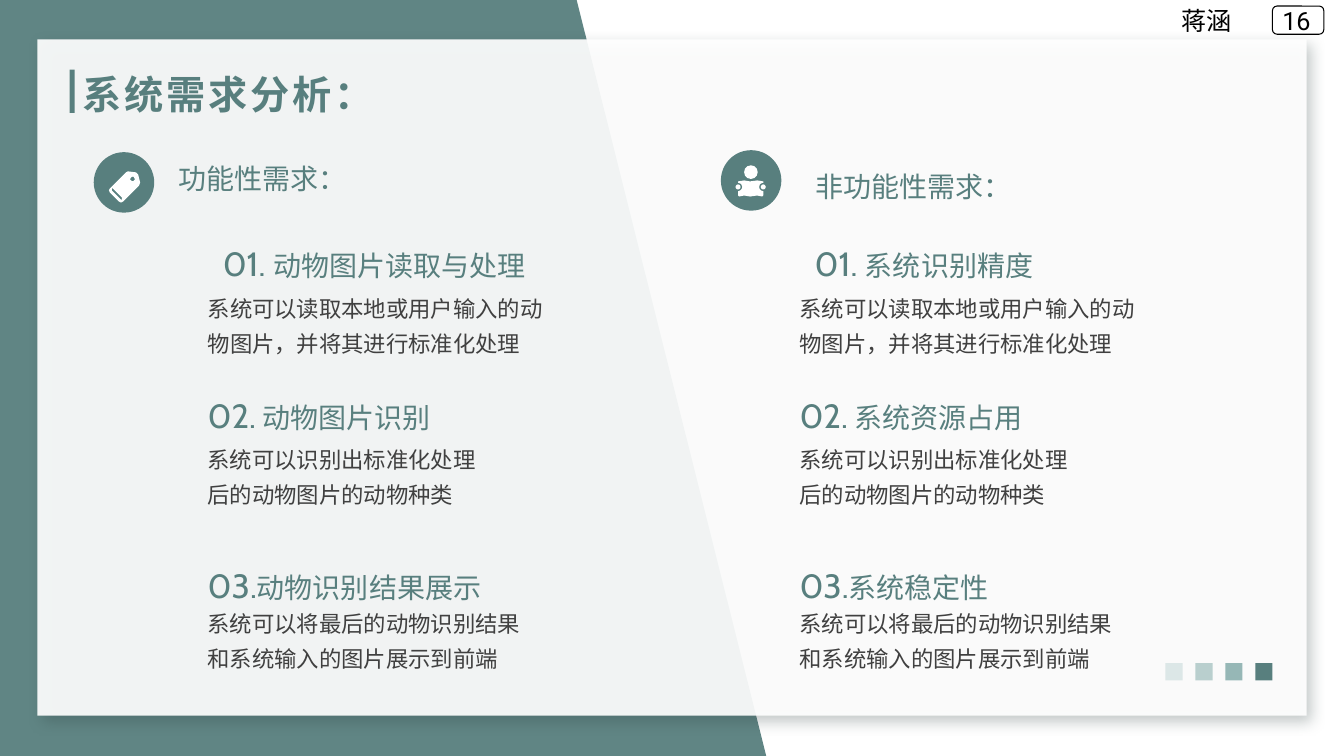
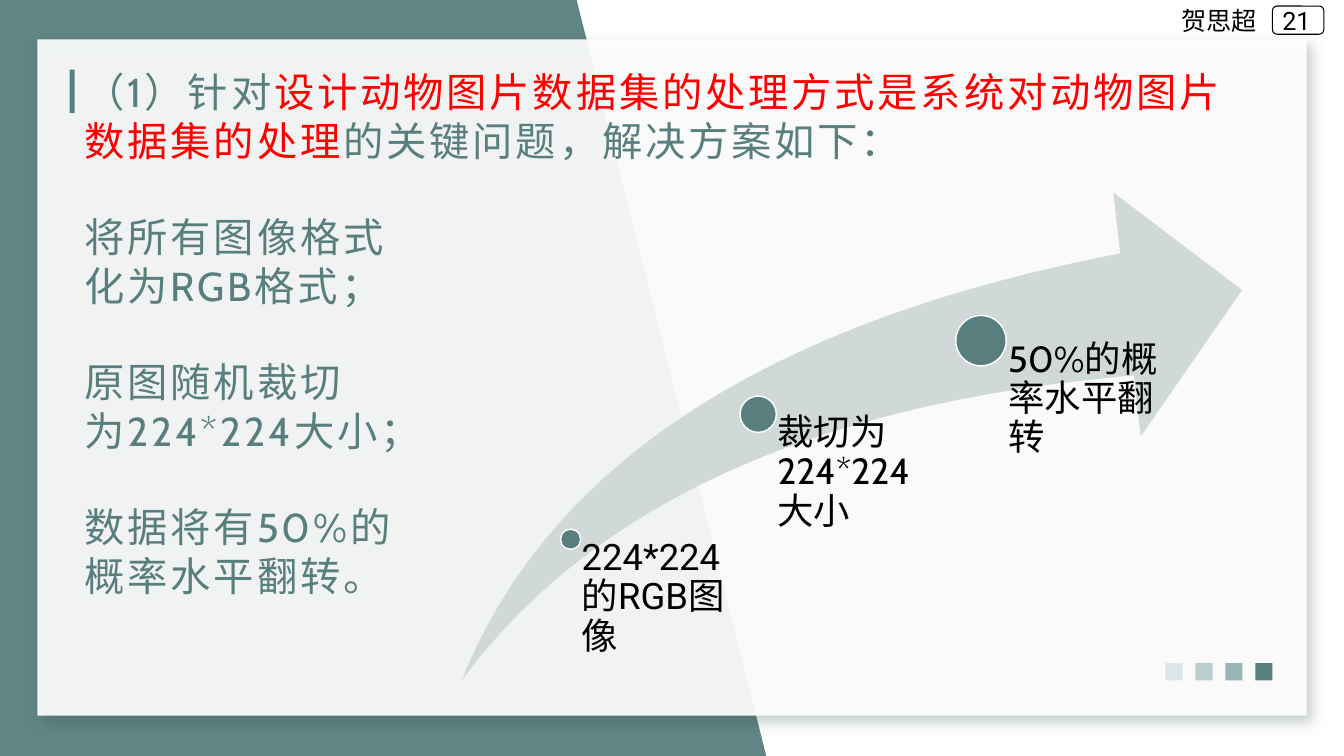
from pptx import Presentation
from pptx.dml.color import RGBColor
from pptx.enum.lang import MSO_LANGUAGE_ID
from pptx.enum.shapes import MSO_SHAPE
from pptx.oxml import parse_xml
from pptx.oxml.ns import nsdecls, qn
from pptx.util import Inches, Pt

# Shared look
TEAL, WHITE, BLACK, GREY, RED = "587F7E", "FFFFFF", "000000", "404040", "FF0000"
ARROW_GREY = "D1D8D8"
SQUARES = ["DCE7E7", "B9CFCE", "96B7B6", TEAL]
WIDTH, HEIGHT = 13.33, 7.5
ORIGIN = (0, 0, 0, 0)

# Content: requirements slide
DETAILS = [
    "系统可以读取本地或用户输入的动物图片，并将其进行标准化处理",
    "系统可以识别出标准化处理后的动物图片的动物种类",
    "系统可以将最后的动物识别结果和系统输入的图片展示到前端",
]
COLUMNS = [
    dict(left=2.06, title="功能性需求：", title_at=(1.77, 1.6), badge_at=(0.93, 1.51),
         items=["动物图片读取与处理", " 动物图片识别", "动物识别结果展示"]),
    dict(left=7.93, title="非功能性需求：", title_at=(8.09, 1.68), badge_at=(7.15, 1.49),
         items=["系统识别精度", " 系统资源占用", "系统稳定性"]),
]
# Per row: number, indent, heading top, detail top, detail width
ROWS = [("01. ", 0.15, 2.41, 2.85, 3.41),
        ("02.", 0, 3.92, 4.35, 2.83),
        ("03.", 0, 5.6, 5.97, 3.27)]

# Content: data processing slide
PROBLEM = [("（1）针对", TEAL),
           ("设计动物图片数据集的处理方式是系统对动物图片数据集的处理", RED),
           ("的关键问题，解决方案如下：", TEAL)]
SOLUTIONS = [("将所有图像格式", "化为RGB格式；"),
             ("原图随机裁切", "为224*224大小；"),
             ("数据将有50%的", "概率水平翻转。")]
# Per step: text, font, dot left, top and size, label inset and width
STEPS = [("224*224的RGB图像", "Roboto", 5.56, 5.25, 0.2, 0.11, 1.8),
         ("裁切为224*224大小", "Cabin", 7.34, 3.93, 0.36, 0.19, 1.86),
         ("50%的概率水平翻转", "Cabin", 9.48, 3.13, 0.5, 0.27, 1.86)]

# Icon outlines, in hundredths of an inch
TAG = [
    [(139, 181), (137, 173), (135, 171), (127, 170), (125, 171), (109, 187), (108, 189),
     (109, 191), (118, 200), (120, 201), (122, 200), (138, 184)],
    [(121, 198), (120, 198), (111, 189), (111, 187), (112, 187), (121, 196)],
    [(133, 179), (131.5, 179.6), (130, 179), (129.4, 177.5), (130, 176), (131.5, 175.4),
     (133, 176), (133.6, 177.5)],
]
BOOK = [[(732, 180), (738, 179), (744, 180), (751, 179), (757, 180), (757, 194),
         (756, 195), (751, 194), (744, 195), (738, 194), (733, 195), (732, 194)]]


def color(hex_code):
    return RGBColor.from_string(hex_code)


def paint(shape, fill, line=None, line_width=1, opacity=100):
    shape.shadow.inherit = False
    shape.fill.solid()
    shape.fill.fore_color.rgb = color(fill)
    if opacity < 100:
        tone = shape._element.spPr.find(qn("a:solidFill")).find(qn("a:srgbClr"))
        tone.append(parse_xml(f'<a:alpha {nsdecls("a")} val="{opacity * 1000}"/>'))
    if line:
        shape.line.color.rgb = color(line)
        shape.line.width = Pt(line_width)
    else:
        shape.line.fill.background()
    return shape


def add_shape(page, kind, left, top, width, height, fill, **look):
    shape = page.shapes.add_shape(kind, *map(Inches, (left, top, width, height)))
    return paint(shape, fill, **look)


def add_dot(page, left, top, size, fill, **look):
    return add_shape(page, MSO_SHAPE.OVAL, left, top, size, size, fill, **look)


def add_outline(page, contours, fill, **look):
    """Draw closed contours given in hundredths of an inch."""
    builder = page.shapes.build_freeform(*contours[0][0], scale=Inches(0.01))
    for number, points in enumerate(contours):
        if number:
            builder.move_to(*points[0])
        builder.add_line_segments(points[1:], close=True)
    return paint(builder.convert_to_shape(), fill, **look)


def add_span(para, text, size=18, font="Cabin", ink=TEAL, bold=False, tracking=0):
    span = para.add_run()
    span.text = text
    span.font.name, span.font.size, span.font.bold = font, Pt(size), bold
    span.font.color.rgb = color(ink)
    span.font.language_id = MSO_LANGUAGE_ID.SIMPLIFIED_CHINESE
    if tracking:
        span._r.get_or_add_rPr().set("spc", str(tracking * 100))


def add_box(page, left, top, width, height, insets=ORIGIN):
    box = page.shapes.add_textbox(*map(Inches, (left, top, width, height)))
    frame = box.text_frame
    frame.word_wrap = True
    (frame.margin_left, frame.margin_top,
     frame.margin_right, frame.margin_bottom) = map(Inches, insets)
    return frame


def add_text(page, text, left, top, width, height, insets=ORIGIN, spacing=None, **style):
    para = add_box(page, left, top, width, height, insets).paragraphs[0]
    para.line_spacing = spacing
    add_span(para, text, **style)


PADDED = (0.1, 0.05, 0.1, 0.05)


def add_page(deck, number, speaker):
    """Add a slide with the slanted band, card, corner squares and page mark."""
    page = deck.slides.add_slide(deck.slide_layouts[6])
    add_outline(page, [[(0, 0), (572, 0), (760, 750), (0, 750)]], TEAL, opacity=95)
    card = add_shape(page, MSO_SHAPE.RECTANGLE, 0.37, 0.39, 12.59, 6.71, WHITE, opacity=92)
    card._element.spPr.find(qn("a:effectLst")).append(parse_xml(
        f'<a:outerShdw {nsdecls("a")} blurRad="{Pt(10)}" dist="{Pt(6)}" dir="2700000" '
        'algn="tl" rotWithShape="0"><a:srgbClr val="2C403F"><a:alpha val="30000"/>'
        '</a:srgbClr></a:outerShdw>'))
    for place, fill in enumerate(SQUARES):
        add_shape(page, MSO_SHAPE.RECTANGLE, 11.56 + 0.297 * place, 6.58, 0.17, 0.17, fill)
    add_shape(page, MSO_SHAPE.RECTANGLE, 0.69, 0.69, 0.05, 0.43, TEAL)
    add_shape(page, MSO_SHAPE.ROUNDED_RECTANGLE, 12.62, 0.06, 0.51, 0.28, WHITE,
              line=BLACK, line_width=0.75)
    for text, left, width in [(str(number), 12.62, 0.51), (speaker, 11.62, 1.27)]:
        add_text(page, text, left, 0, width, 0.4, PADDED, font="Roboto", ink=BLACK)
    return page


def add_reader(page):
    add_dot(page, 7.38, 1.64, 0.135, WHITE)
    add_outline(page, BOOK, WHITE)
    for center in (7.32, 7.57):
        for size, fill in [(0.08, TEAL), (0.05, WHITE)]:
            add_dot(page, center - size / 2, 1.855 - size / 2, size, fill)


def build_requirements(deck):
    page = add_page(deck, 16, "蒋涵")
    add_text(page, "系统需求分析：", 0.72, 0.65, 5.28, 0.48, PADDED,
             size=28, bold=True, tracking=2)
    for column in COLUMNS:
        add_dot(page, *column["badge_at"], 0.6, TEAL)
        add_text(page, column["title"], *column["title_at"], 1.94, 0.34, size=20)
        for row, item, detail in zip(ROWS, column["items"], DETAILS):
            number, indent, heading_top, detail_top, width = row
            heading = add_box(page, column["left"] + indent, heading_top, 3.26, 0.4)
            add_span(heading.paragraphs[0], number, size=24)
            add_span(heading.paragraphs[0], item, size=20)
            add_text(page, detail, column["left"], detail_top, width, 0.7,
                     spacing=1.3, size=16, font="Lato", ink=GREY)
    add_outline(page, TAG, WHITE)
    add_reader(page)


def build_processing(deck):
    page = add_page(deck, 21, "贺思超")
    style = dict(size=28.8, tracking=2)

    # Problem and its solutions
    frame = add_box(page, 0.74, 0.62, 11.78, 6.04, PADDED)
    for text, ink in PROBLEM:
        add_span(frame.paragraphs[0], text, ink=ink, **style)
    for first, second in SOLUTIONS:
        para = frame.add_paragraph()
        para.space_before = Pt(34.5)
        add_span(para, first, **style)
        para.add_line_break()
        add_span(para, second, **style)

    # Rising arrow with its steps
    arrow = add_shape(page, MSO_SHAPE.SWOOSH_ARROW, 4.58, 1.91, 7.74, 4.84, ARROW_GREY)
    arrow.adjustments[0] = arrow.adjustments[1] = 0.25
    for text, font, left, top, size, inset, width in STEPS:
        add_dot(page, left, top, size, TEAL, line=WHITE)
        label_top = top + size / 2
        add_text(page, text, left + size / 2, label_top, width, 6.75 - label_top,
                 (inset, 0, 0, 0), spacing=0.9, size=26, font=font, ink=BLACK)


def main():
    deck = Presentation()
    deck.slide_width, deck.slide_height = Inches(WIDTH), Inches(HEIGHT)
    build_requirements(deck)
    build_processing(deck)
    deck.save("out.pptx")


if __name__ == "__main__":
    main()
